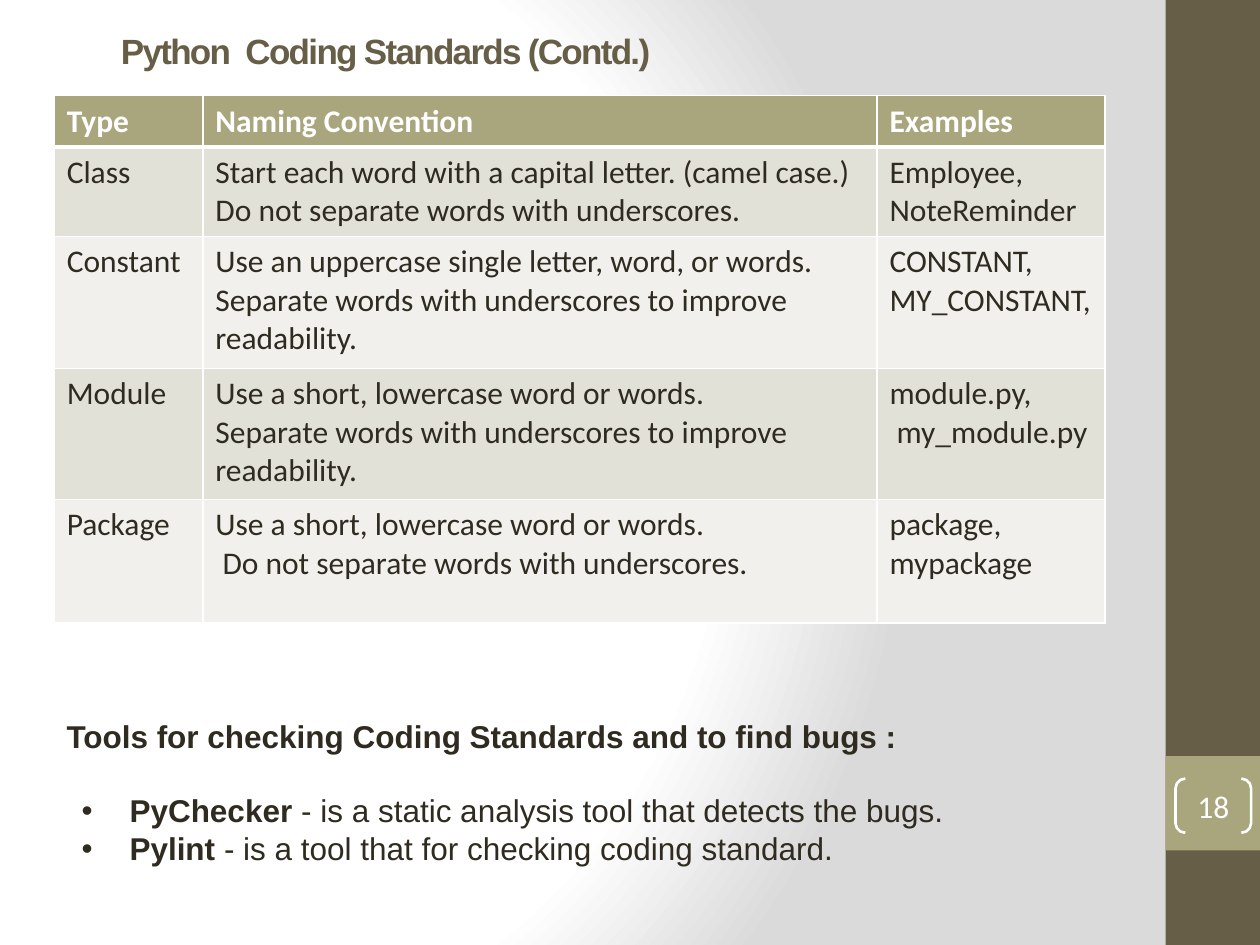
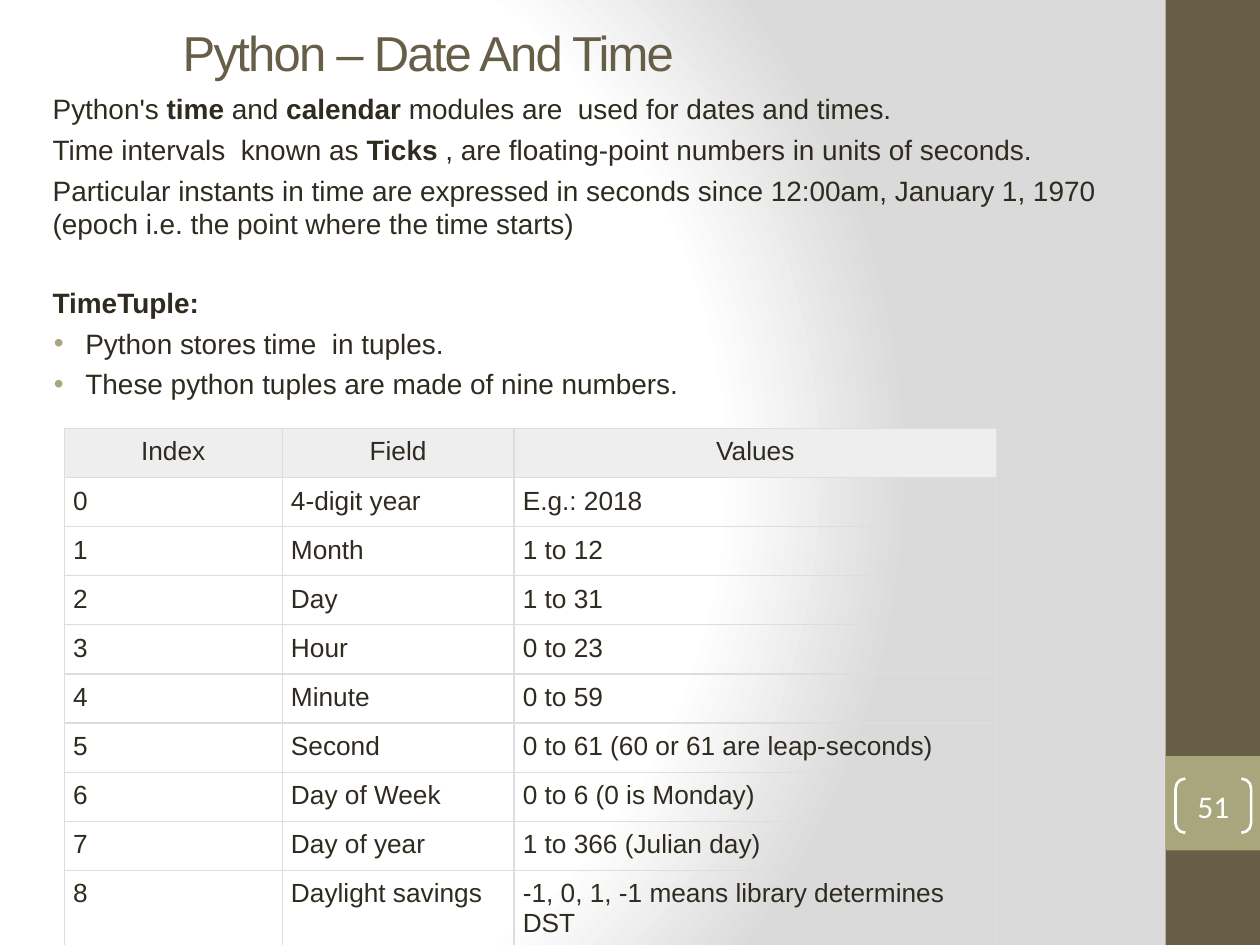
"""Builds two slides on Python coding standards and on date and time."""
import dataclasses

import pptx
import pptx.dml.color
import pptx.enum.shapes
import pptx.enum.text
import pptx.oxml
import pptx.oxml.ns
import pptx.util

Inches = pptx.util.Inches
Pt = pptx.util.Pt
Align = pptx.enum.text.PP_ALIGN
Anchor = pptx.enum.text.MSO_ANCHOR
Shape = pptx.enum.shapes.MSO_SHAPE
NAMESPACE = pptx.oxml.ns.nsdecls("a")
PLAIN_TABLE = "{2D5ABB26-0587-4C30-8999-92F81FD0307C}"


@dataclasses.dataclass(frozen=True)
class Theme:
    dark: str = "675E47"
    accent: str = "A9A57C"
    ink: str = "2F2B20"
    white: str = "FFFFFF"
    shade: str = "DADADA"
    band_odd: str = "E2E1D7"
    band_even: str = "F1F0EC"
    grid: str = "DDDDDD"
    grid_header: str = "EEEEEE"
    heading_font: str = "Arial"
    table_font: str = "Calibri"
    size_title: int = 28
    size_subtitle: int = 20
    size_large: int = 18
    size_body: int = 16
    size_grid: int = 15


def color(value):
    return pptx.dml.color.RGBColor.from_string(value)


def add_xml(parent, markup):
    parent.append(pptx.oxml.parse_xml(markup))


def write(paragraph, text, font="Arial", size=18, ink="2F2B20", bold=False,
          align=Align.LEFT, before=0, left=0, hanging=0, bullet=None, tracking=0):
    """Writes text into a paragraph; parts between bars are bold."""
    paragraph.alignment = align
    paragraph.space_before = Pt(before)
    properties = paragraph._p.get_or_add_pPr()
    properties.set("marL", str(Inches(left)))
    properties.set("indent", str(-Inches(hanging)))
    if bullet:
        add_xml(properties, f'<a:buClr {NAMESPACE}><a:srgbClr val="{bullet}"/></a:buClr>')
        add_xml(properties, f'<a:buFont {NAMESPACE} typeface="Arial"/>')
        add_xml(properties, f'<a:buChar {NAMESPACE} char="•"/>')
    for index, part in enumerate(text.split("|")):
        if not part:
            continue
        run = paragraph.add_run()
        run.text = part
        run.font.name = font
        run.font.size = Pt(size)
        run.font.bold = bold or index % 2 == 1
        run.font.color.rgb = color(ink)
        if tracking:
            run._r.get_or_add_rPr().set("spc", str(tracking * 100))


def write_all(frame, items):
    """Writes each pair of text and format as one paragraph of the frame."""
    for index, (text, style) in enumerate(items):
        paragraph = frame.add_paragraph() if index else frame.paragraphs[0]
        write(paragraph, text, **style)


class Deck:
    """Holds the theme, the presentation and the current slide."""

    def __init__(self, theme):
        self.theme = theme
        self.presentation = pptx.Presentation()
        self.presentation.slide_width = Inches(10)
        self.presentation.slide_height = Inches(7.5)
        self.slide = None
        self.paint_background()

    def paint_background(self):
        master = self.presentation.slide_master
        master.background.fill
        properties = master.element.find(".//" + pptx.oxml.ns.qn("p:bgPr"))
        stops = ((0, self.theme.white), (75, self.theme.white), (100, self.theme.shade))
        stop_markup = "".join(
            f'<a:gs pos="{position * 1000}"><a:srgbClr val="{value}"/></a:gs>'
            for position, value in stops)
        properties.replace(properties[0], pptx.oxml.parse_xml(
            f'<a:gradFill {NAMESPACE} rotWithShape="1"><a:gsLst>{stop_markup}</a:gsLst>'
            '<a:path path="circle"><a:fillToRect l="20000" t="50000" r="100000" b="50000"/>'
            '</a:path></a:gradFill>'))

    def add_slide(self, number):
        layout = self.presentation.slide_layouts[5]
        self.slide = self.presentation.slides.add_slide(layout)
        self.shape(Shape.RECTANGLE, (9.25, 0, 0.75, 7.5), fill=self.theme.dark)
        self.shape(Shape.RECTANGLE, (9.25, 6, 0.75, 0.75), fill=self.theme.accent)
        bracket = self.shape(Shape.DOUBLE_BRACKET, (9.33, 6.18, 0.6, 0.43),
                             line=self.theme.white)
        bracket.adjustments[0] = 0.18
        frame = bracket.text_frame
        frame.margin_left = frame.margin_right = frame.margin_top = frame.margin_bottom = 0
        frame.vertical_anchor = Anchor.MIDDLE
        write(frame.paragraphs[0], number, font=self.theme.table_font,
              size=self.theme.size_large, ink=self.theme.white, align=Align.CENTER)

    def shape(self, kind, box, fill=None, line=None):
        shape = self.slide.shapes.add_shape(kind, *map(Inches, box))
        shape.shadow.inherit = False
        if fill:
            shape.fill.solid()
            shape.fill.fore_color.rgb = color(fill)
        else:
            shape.fill.background()
        if line:
            shape.line.color.rgb = color(line)
            shape.line.width = Pt(1.5)
        else:
            shape.line.fill.background()
        return shape

    def title(self, text, box, **style):
        title = self.slide.shapes.title
        title.left, title.top, title.width, title.height = map(Inches, box)
        frame = title.text_frame
        frame.word_wrap = True
        frame.auto_size = pptx.enum.text.MSO_AUTO_SIZE.NONE
        frame.vertical_anchor = Anchor.MIDDLE
        write(frame.paragraphs[0], text, font=self.theme.heading_font,
              ink=self.theme.dark, tracking=-1, **style)

    def text(self, box, items):
        frame = self.slide.shapes.add_textbox(*map(Inches, box)).text_frame
        frame.word_wrap = True
        write_all(frame, items)

    def table(self, left, top, columns, heights, rows, cell_style):
        """Adds a table; cell_style gives each row its format."""
        table = self.slide.shapes.add_table(
            len(rows), len(columns), Inches(left), Inches(top),
            Inches(sum(columns)), Inches(sum(heights))).table
        table._tbl.tblPr.find(pptx.oxml.ns.qn("a:tableStyleId")).text = PLAIN_TABLE
        for column, width in zip(table.columns, columns):
            column.width = Inches(width)
        for index, (row, height, texts) in enumerate(zip(table.rows, heights, rows)):
            row.height = Inches(height)
            for cell, text in zip(row.cells, texts):
                self.cell(cell, text, **cell_style(index))

    def cell(self, cell, text, fill, borders, line, style, margin=None, anchor=Anchor.TOP):
        properties = cell._tc.get_or_add_tcPr()
        for side, width in zip("LRTB", borders):
            add_xml(properties,
                    f'<a:ln{side} {NAMESPACE} w="{Pt(width)}"><a:solidFill>'
                    f'<a:srgbClr val="{line}"/></a:solidFill></a:ln{side}>')
        if fill:
            cell.fill.solid()
            cell.fill.fore_color.rgb = color(fill)
        else:
            cell.fill.background()
        cell.vertical_anchor = anchor
        if margin is not None:
            cell.margin_left = cell.margin_right = Inches(margin)
            cell.margin_top = cell.margin_bottom = Inches(margin)
        write_all(cell.text_frame, [(line_text, style) for line_text in text.split("\n")])


def add_coding_standards(deck):
    theme = deck.theme
    deck.add_slide("18")
    deck.title("Python  Coding Standards (Contd.)", (0.35, 0.13, 9, 0.54),
               size=theme.size_subtitle, bold=True, left=0.51)

    def convention_style(index):
        header = index == 0
        style = dict(font=theme.table_font, size=theme.size_large, bold=header,
                     ink=theme.white if header else theme.ink)
        fill = theme.accent if header else (theme.band_even, theme.band_odd)[index % 2]
        borders = (1, 1, 3 if index == 1 else 1, 3 if header else 1)
        return dict(fill=fill, borders=borders, line=theme.white, style=style,
                    anchor=Anchor.BOTTOM if header else Anchor.TOP)

    conventions = [
        ("Type", "Naming Convention", "Examples"),
        ("Class", "Start each word with a capital letter. (camel case.)\n"
                  "Do not separate words with underscores.", "Employee,\nNoteReminder"),
        ("Constant", "Use an uppercase single letter, word, or words. "
                     "Separate words with underscores to improve readability.",
         "CONSTANT,\nMY_CONSTANT,"),
        ("Module", "Use a short, lowercase word or words.\n"
                   "Separate words with underscores to improve readability.",
         "module.py,\n my_module.py"),
        ("Package", "Use a short, lowercase word or words.\n"
                    " Do not separate words with underscores.", "package,\nmypackage"),
    ]
    deck.table(0.43, 0.76, (1.18, 5.35, 1.81), (0.4, 0.7, 1.05, 1.04, 0.98),
               conventions, convention_style)

    plain = dict(font=theme.heading_font, size=theme.size_large, ink=theme.ink)
    bullet = dict(plain, left=0.5, hanging=0.38, bullet=theme.ink)
    deck.text((0.43, 5.64, 8.03, 1.62), [
        ("Tools for checking Coding Standards and to find bugs :", dict(plain, bold=True)),
        ("|PyChecker| - is a static analysis tool that detects the bugs.",
         dict(bullet, before=21)),
        ("|Pylint| - is a tool that for checking coding standard.", bullet),
    ])


def add_date_and_time(deck):
    theme = deck.theme
    deck.add_slide("51")
    deck.title("Python – Date And Time", (0.5, 0.3, 8.33, 0.22),
               size=theme.size_title, left=0.85)

    first = dict(font=theme.heading_font, size=theme.size_body, ink=theme.ink, left=0.12)
    plain = dict(first, before=4)
    bullet = dict(plain, left=0.38, hanging=0.25, bullet=theme.accent)
    deck.text((0.2, 0.68, 8.64, 6.61), [
        ("Python's |time| and |calendar| modules are  used for dates and times.", first),
        ("Time intervals  known as |Ticks| , are floating-point numbers in units of seconds.",
         plain),
        ("Particular instants in time are expressed in seconds since 12:00am, "
         "January 1, 1970 (epoch i.e. the point where the time starts)", plain),
        ("TimeTuple:", dict(plain, bold=True, before=26)),
        ("Python stores time  in tuples.", bullet),
        ("These python tuples are made of nine numbers.", bullet),
    ])

    def field_style(index):
        header = index == 0
        style = dict(font=theme.heading_font, size=theme.size_grid, ink=theme.ink,
                     align=Align.CENTER if header else Align.LEFT)
        return dict(fill=theme.grid_header if header else None, borders=(0.75,) * 4,
                    line=theme.grid, style=style, margin=0.07)

    fields = [
        ("4-digit year", "E.g.: 2018"),
        ("Month", "1 to 12"),
        ("Day", "1 to 31"),
        ("Hour", "0 to 23"),
        ("Minute", "0 to 59"),
        ("Second", "0 to 61 (60 or 61 are leap-seconds)"),
        ("Day of Week", "0 to 6 (0 is Monday)"),
        ("Day of year", "1 to 366 (Julian day)"),
        ("Daylight savings", "-1, 0, 1, -1 means library determines DST"),
    ]
    rows = [("Index", "Field", "Values")]
    rows += [(str(index), *field) for index, field in enumerate(fields)]
    deck.table(0.51, 3.4, (1.73, 1.84, 3.83), [0.36] * len(rows), rows, field_style)


def main():
    deck = Deck(Theme())
    add_coding_standards(deck)
    add_date_and_time(deck)
    deck.presentation.save("out.pptx")


if __name__ == "__main__":
    main()
